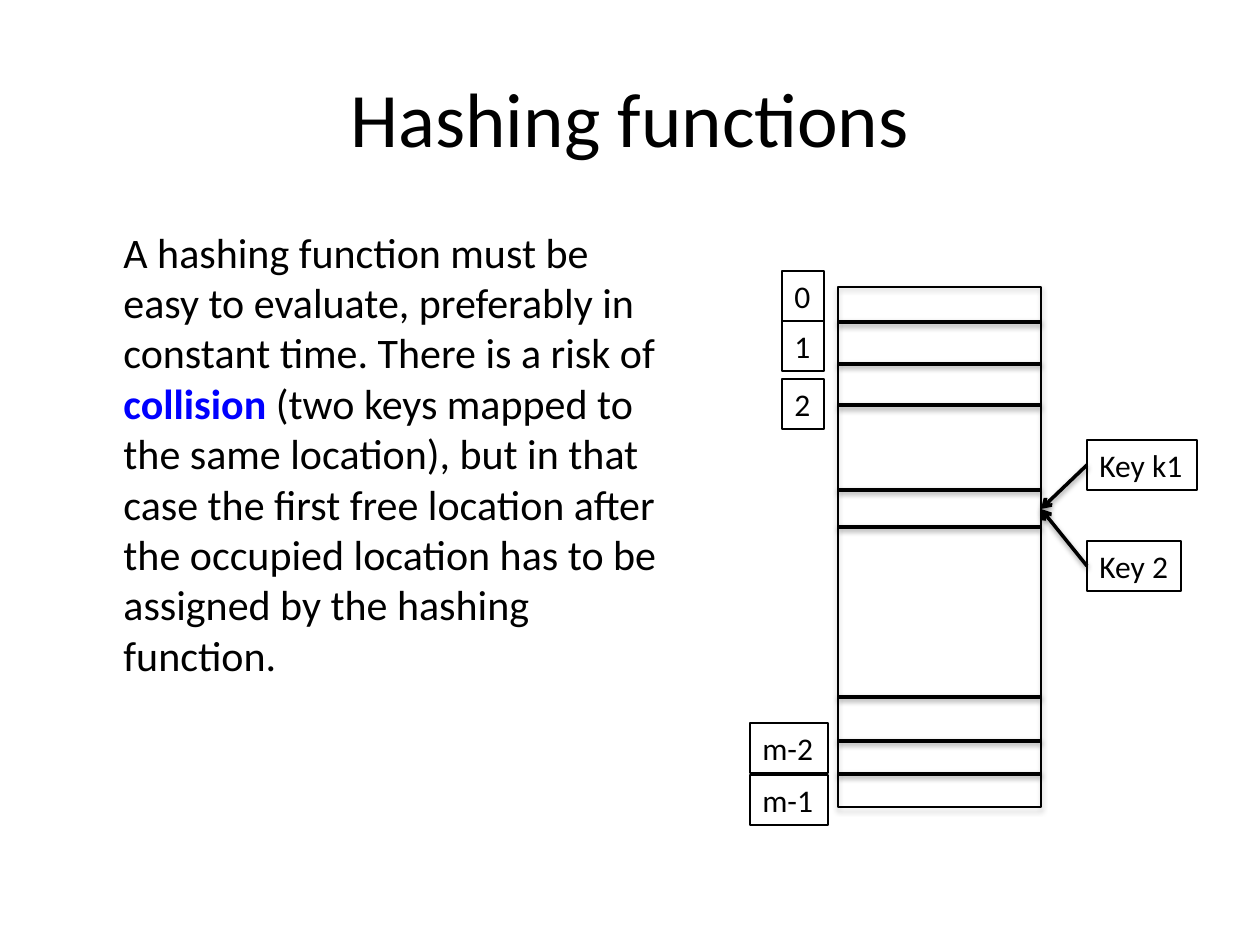
"""Build the slide on hashing functions with its table of slots and keys."""
from dataclasses import dataclass

from lxml import etree
from pptx import Presentation
from pptx.dml.color import RGBColor
from pptx.enum.shapes import MSO_CONNECTOR, MSO_SHAPE
from pptx.enum.text import MSO_ANCHOR, MSO_AUTO_SIZE, PP_ALIGN
from pptx.oxml.ns import qn
from pptx.util import Emu, Pt

STRAIGHT = MSO_CONNECTOR.STRAIGHT
RECTANGLE = MSO_SHAPE.RECTANGLE
MIDDLE, TOP = MSO_ANCHOR.MIDDLE, MSO_ANCHOR.TOP
CENTER, LEFT = PP_ALIGN.CENTER, PP_ALIGN.LEFT
GROW, FIXED = MSO_AUTO_SIZE.SHAPE_TO_FIT_TEXT, MSO_AUTO_SIZE.NONE
LEFT_SIDE = 1
TITLE_ONLY = 5
PIXELS_PER_INCH = 126


@dataclass(frozen=True)
class Theme:
    """Colours, font, type sizes and line widths."""
    font: str = "Calibri"
    ink: RGBColor = RGBColor(0, 0, 0)
    accent: RGBColor = RGBColor(0, 0, 255)
    title: int = 44
    body: int = 24
    label: int = 18
    outline: float = 0.75
    rule: float = 2


@dataclass(frozen=True)
class Box:
    """A rectangle in px."""
    left: int
    top: int
    width: int
    height: int

    def emu(self) -> tuple:
        """Return left, top, width and height in EMU."""
        return px(self.left), px(self.top), px(self.width), px(self.height)


@dataclass(frozen=True)
class Label:
    """An outlined piece of text."""
    text: str
    left: int
    top: int
    width: int


THEME = Theme()
LABEL_HEIGHT = 50
TITLE_BOX = Box(63, 38, 1134, 157)
BODY_BOX = Box(63, 220, 622, 605)
BODY_INDENT = 48
TABLE = Box(838, 287, 203, 520)
SLOT_RULES = (322, 364, 405, 490, 527, 697, 741, 774)
COLLISION = (1041, 509)
SLOT_LABELS = (
    Label("0", 782, 271, 42),
    Label("1", 782, 321, 42),
    Label("2", 782, 379, 42),
    Label("m-2", 750, 723, 78),
    Label("m-1", 750, 775, 78),
)
KEY_LABELS = (Label("Key k1", 1087, 440, 110), Label("Key 2", 1087, 541, 94))
BODY_RUNS = (
    ("A hashing function must be easy to evaluate, preferably in constant time. "
     "There is a risk of ", False),
    ("collision", True),
    (" (two keys mapped to the same location), but in that case the first free "
     "location after the occupied location has to be assigned by the hashing "
     "function.", False),
)


def px(length: int) -> Emu:
    """Turn px into EMU."""
    return Emu(round(length * 914400 / PIXELS_PER_INCH))


def write(shape, *runs: tuple, size: int, align=LEFT, anchor=TOP,
          wrap: bool = True, auto_size=FIXED, indent: int = 0) -> None:
    """Fill a shape with one paragraph of (text, emphasised) runs."""
    frame = shape.text_frame
    frame.word_wrap = wrap
    frame.auto_size = auto_size
    frame.vertical_anchor = anchor
    paragraph = frame.paragraphs[0]
    paragraph.alignment = align
    if indent:
        paragraph._p.get_or_add_pPr().set("marL", str(px(indent)))
    for text, emphasised in runs:
        run = paragraph.add_run()
        run.text = text
        run.font.name = THEME.font
        run.font.size = Pt(size)
        run.font.bold = emphasised
        run.font.color.rgb = THEME.accent if emphasised else THEME.ink


def outline(shape, width: float) -> None:
    """Give a shape or connector a solid ink line."""
    shape.line.color.rgb = THEME.ink
    shape.line.width = Pt(width)


def add_shadow(shape, distance: int, opacity: int) -> None:
    """Put a soft shadow straight below a shape or connector."""
    effects = etree.SubElement(shape._element.spPr, qn("a:effectLst"))
    shadow = etree.SubElement(effects, qn("a:outerShdw"), blurRad="40000",
                              dist=str(distance), dir="5400000", rotWithShape="0")
    color = etree.SubElement(shadow, qn("a:srgbClr"), val=str(THEME.ink))
    etree.SubElement(color, qn("a:alpha"), val=str(opacity * 1000))


def add_line(slide, start: tuple, end: tuple, arrow: bool = False):
    """Draw a shadowed rule, with an arrowhead at its end on request."""
    points = (px(value) for value in (*start, *end))
    connector = slide.shapes.add_connector(STRAIGHT, *points)
    outline(connector, THEME.rule)
    if arrow:
        etree.SubElement(connector.line._get_or_add_ln(), qn("a:tailEnd"), type="arrow")
    add_shadow(connector, distance=20000, opacity=38)
    return connector


def add_label(slide, label: Label):
    """Draw an outlined label."""
    box = Box(label.left, label.top, label.width, LABEL_HEIGHT)
    shape = slide.shapes.add_textbox(*box.emu())
    outline(shape, THEME.outline)
    write(shape, (label.text, False), size=THEME.label, wrap=False, auto_size=GROW)
    return shape


def add_table_outline(slide) -> None:
    """Draw the hash table and the rules between its slots."""
    table = slide.shapes.add_shape(RECTANGLE, *TABLE.emu())
    table.fill.background()
    outline(table, THEME.outline)
    add_shadow(table, distance=23000, opacity=35)
    for top in SLOT_RULES:
        add_line(slide, (TABLE.left, top), (TABLE.left + TABLE.width, top))


def add_key(slide, label: Label) -> None:
    """Draw a key and its arrow to the shared slot."""
    shape = add_label(slide, label)
    start = (label.left, label.top + LABEL_HEIGHT // 2)
    arrow = add_line(slide, start, COLLISION, arrow=True)
    arrow.begin_connect(shape, LEFT_SIDE)


def main() -> None:
    """Build and save the presentation."""
    presentation = Presentation()
    presentation.slide_width, presentation.slide_height = px(1260), px(945)
    slide = presentation.slides.add_slide(presentation.slide_layouts[TITLE_ONLY])
    title = slide.shapes.title
    title.left, title.top, title.width, title.height = TITLE_BOX.emu()
    write(title, ("Hashing functions", False), size=THEME.title,
          align=CENTER, anchor=MIDDLE)
    body = slide.shapes.add_textbox(*BODY_BOX.emu())
    write(body, *BODY_RUNS, size=THEME.body, indent=BODY_INDENT)
    add_table_outline(slide)
    for label in SLOT_LABELS:
        add_label(slide, label)
    for label in KEY_LABELS:
        add_key(slide, label)
    presentation.save("out.pptx")


if __name__ == "__main__":
    main()
